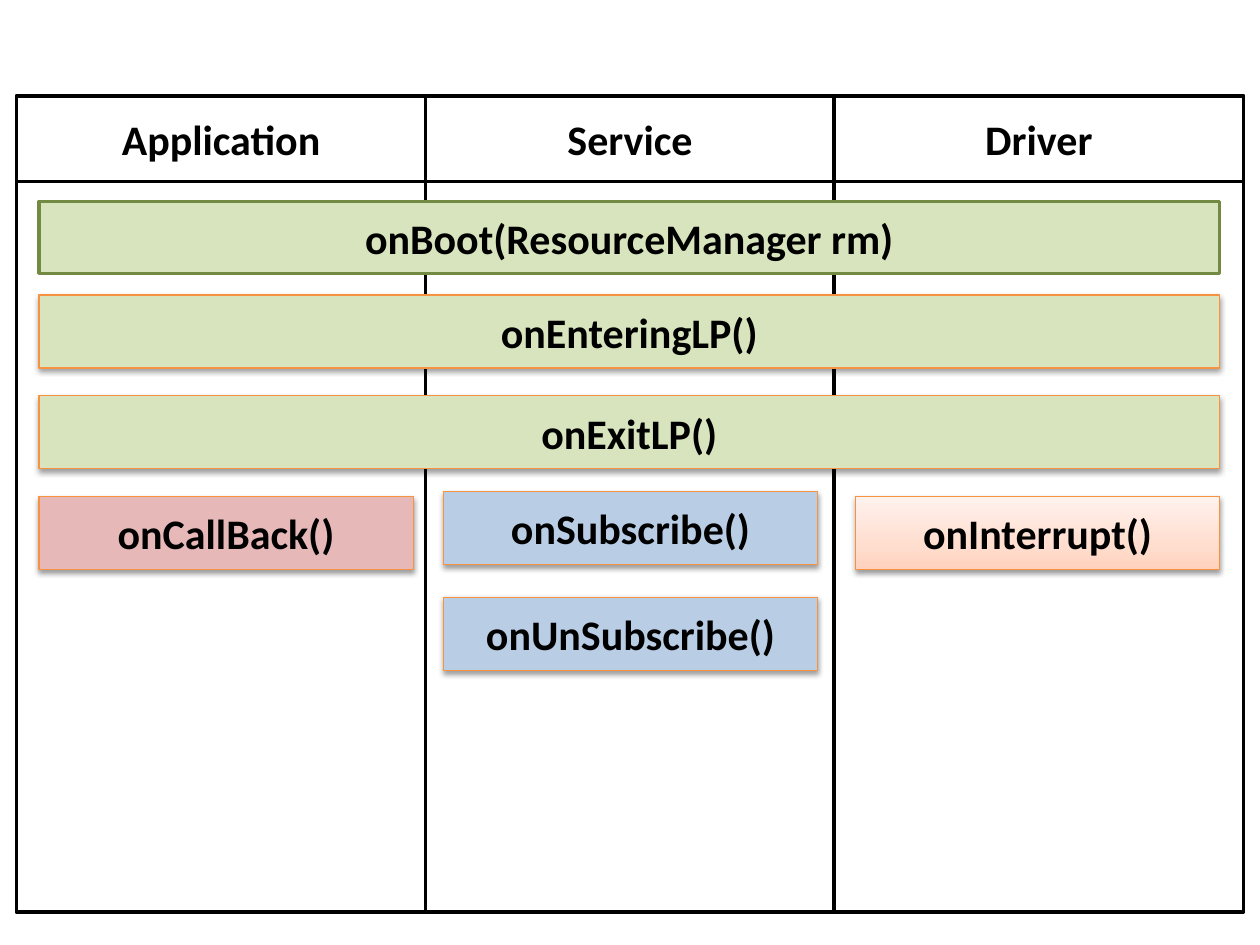
from lxml.etree import SubElement
from pptx import Presentation
from pptx.dml.color import RGBColor
from pptx.enum.shapes import MSO_SHAPE
from pptx.enum.text import MSO_ANCHOR, PP_ALIGN
from pptx.oxml.ns import qn
from pptx.util import Inches, Pt


def color(value):
    """Turn a hex string into a colour."""
    return RGBColor.from_string(value)


class LayerDiagram:
    """Hold the style and the current slide."""

    font, size, ink = "Calibri", 24, "000000"
    green, blue, red, orange = "D7E4BD", "B9CDE5", "E6B9B8", "F69240"
    peach = [(0, "FFD2BD"), (35, "FFDED0"), (100, "FFF2ED")]

    def __init__(self, page):
        """Keep the page to draw on."""
        self.page = page

    def box(self, left, top, width, height, text="", fill="FFFFFF", line="000000", weight=2):
        """Draw a flat rectangle with an optional centred label."""
        box = self.page.shapes.add_shape(
            MSO_SHAPE.RECTANGLE, Inches(left), Inches(top), Inches(width), Inches(height))
        box.shadow.inherit = False
        if isinstance(fill, str):
            box.fill.solid()
            box.fill.fore_color.rgb = color(fill)
        else:
            self.gradient(box, fill)
        box.line.color.rgb = color(line)
        box.line.width = Pt(weight)
        if text:
            self.label(box, text)
        return box

    def label(self, box, text):
        """Write bold centred text in a box."""
        frame = box.text_frame
        frame.word_wrap = True
        frame.vertical_anchor = MSO_ANCHOR.MIDDLE
        para = frame.paragraphs[0]
        para.text = text
        para.alignment = PP_ALIGN.CENTER
        para.font.name = self.font
        para.font.size = Pt(self.size)
        para.font.bold = True
        para.font.color.rgb = color(self.ink)

    def gradient(self, box, stops):
        """Fill a box with a gradient that runs upwards."""
        box.fill.gradient()
        box.fill.gradient_angle = 90
        stop_list = box._element.spPr.find(qn("a:gradFill")).find(qn("a:gsLst"))
        for stop in list(stop_list):
            stop_list.remove(stop)
        for position, value in stops:
            stop = SubElement(stop_list, qn("a:gs"), pos=str(position * 1000))
            SubElement(stop, qn("a:srgbClr"), val=value)

    def callback(self, left, top, width, text, fill):
        """Draw a raised callback bar with a soft shadow."""
        box = self.box(left, top, width, 0.58, text, fill, self.orange, 0.75)
        effects = box._element.spPr.find(qn("a:effectLst"))
        shadow = SubElement(effects, qn("a:outerShdw"), blurRad=str(Pt(3.1)),
                            dist=str(Pt(1.6)), dir="5400000", rotWithShape="0")
        shade = SubElement(shadow, qn("a:srgbClr"), val=self.ink)
        SubElement(shade, qn("a:alpha"), val="38000")


deck = Presentation()
deck.slide_width, deck.slide_height = Inches(10), Inches(7.5)
diagram = LayerDiagram(deck.slides.add_slide(deck.slide_layouts[6]))

layers = ["Application", "Service", "Driver"]
column_width = 3.25
column_lefts = [0.13 + index * 3.245 for index in range(len(layers))]
for left in column_lefts:
    diagram.box(left, 0.78, column_width, 6.46)
for left, layer in zip(column_lefts, layers):
    diagram.box(left, 0.76, column_width, 0.68, layer)

bar_left, bar_width = 0.31, 9.37
diagram.box(bar_left, 1.6, bar_width, 0.57, "onBoot(ResourceManager rm)", diagram.green, "738A42")
for left, top, width, text, fill in [
    (bar_left, 2.34, bar_width, "onEnteringLP()", diagram.green),
    (bar_left, 3.14, bar_width, "onExitLP()", diagram.green),
    (3.52, 3.9, 2.97, "onSubscribe()", diagram.blue),
    (3.52, 4.74, 2.97, "onUnSubscribe()", diagram.blue),
    (6.79, 3.94, 2.89, "onInterrupt()", diagram.peach),
    (bar_left, 3.94, 2.97, "onCallBack()", diagram.red),
]:
    diagram.callback(left, top, width, text, fill)

deck.save("out.pptx")
